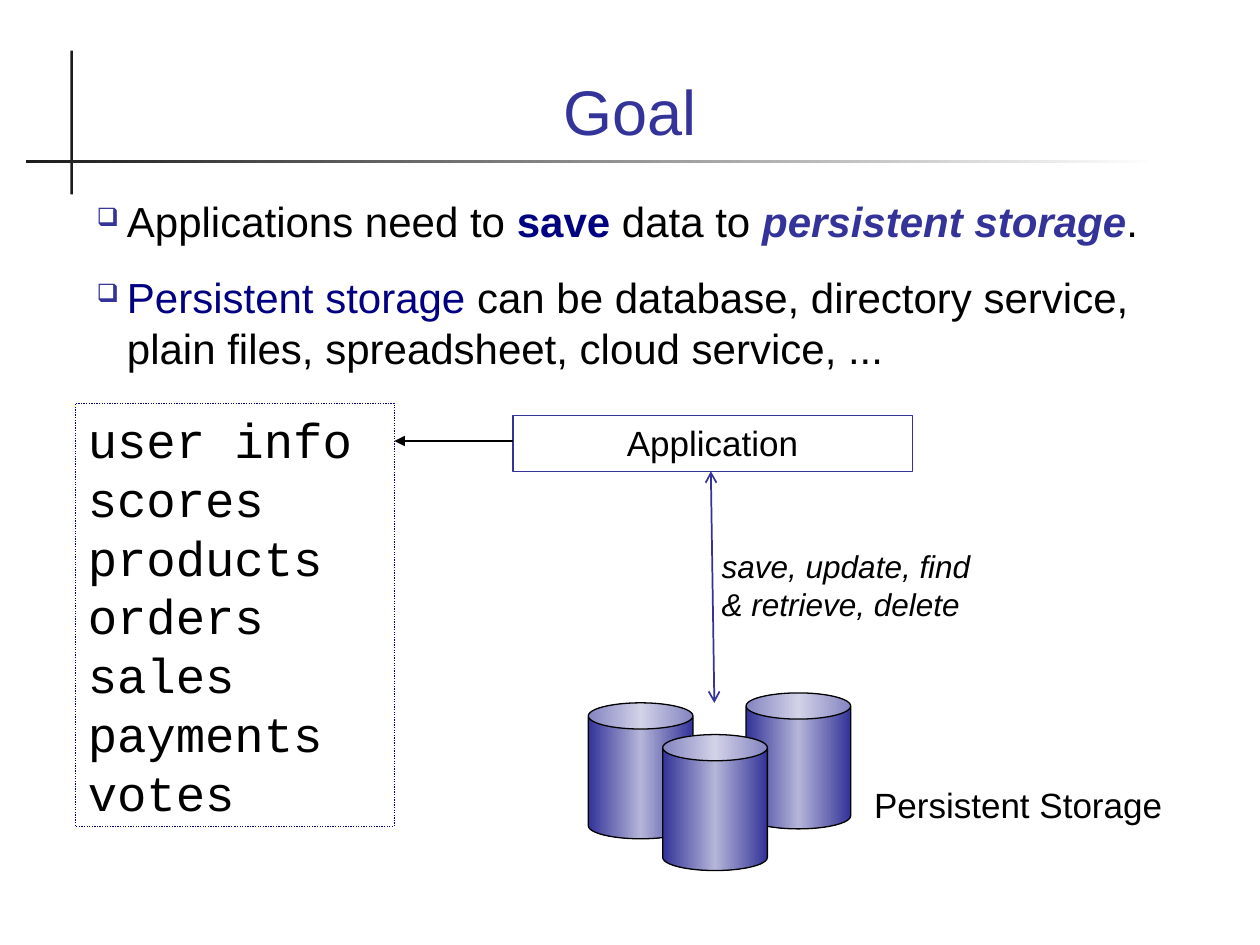
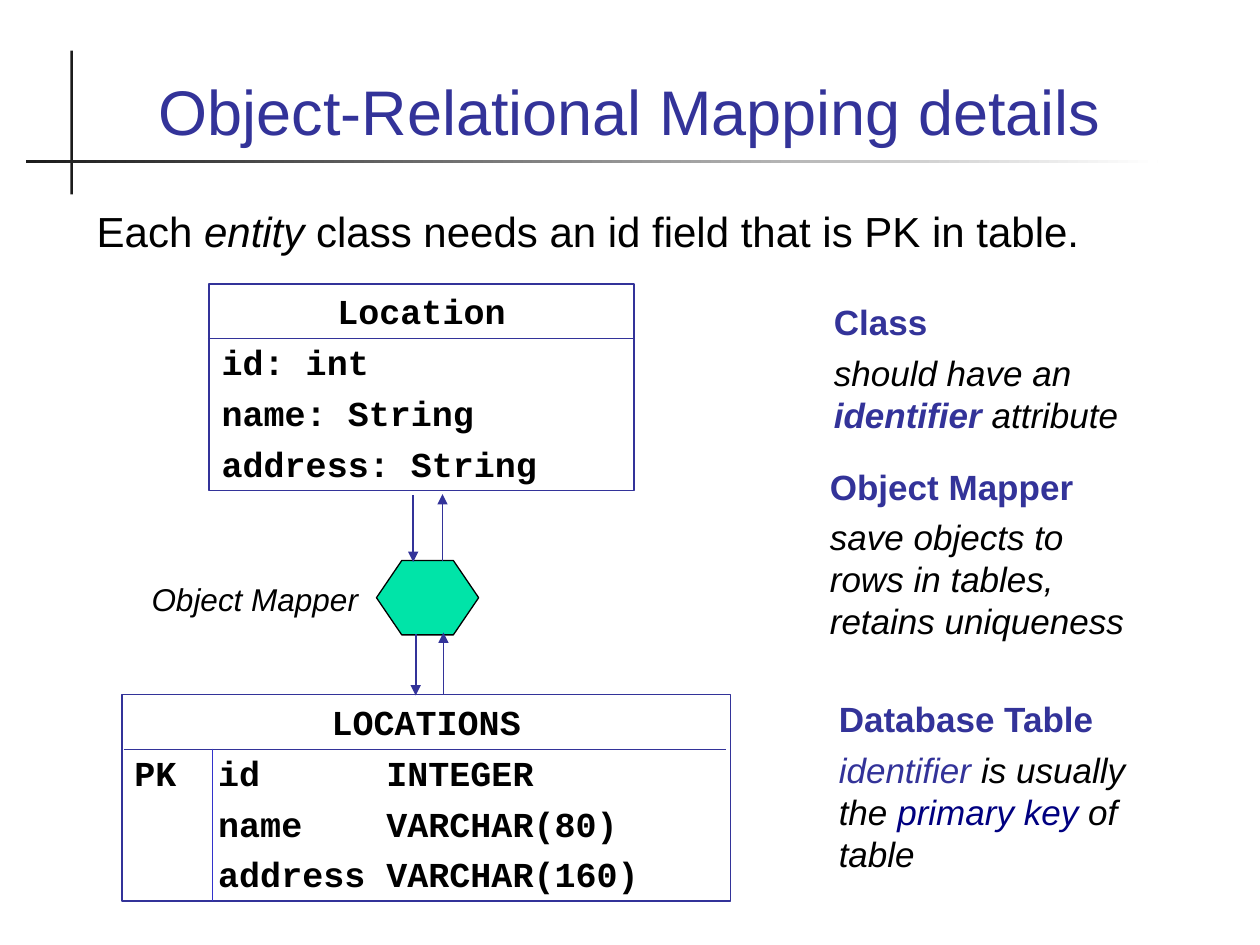
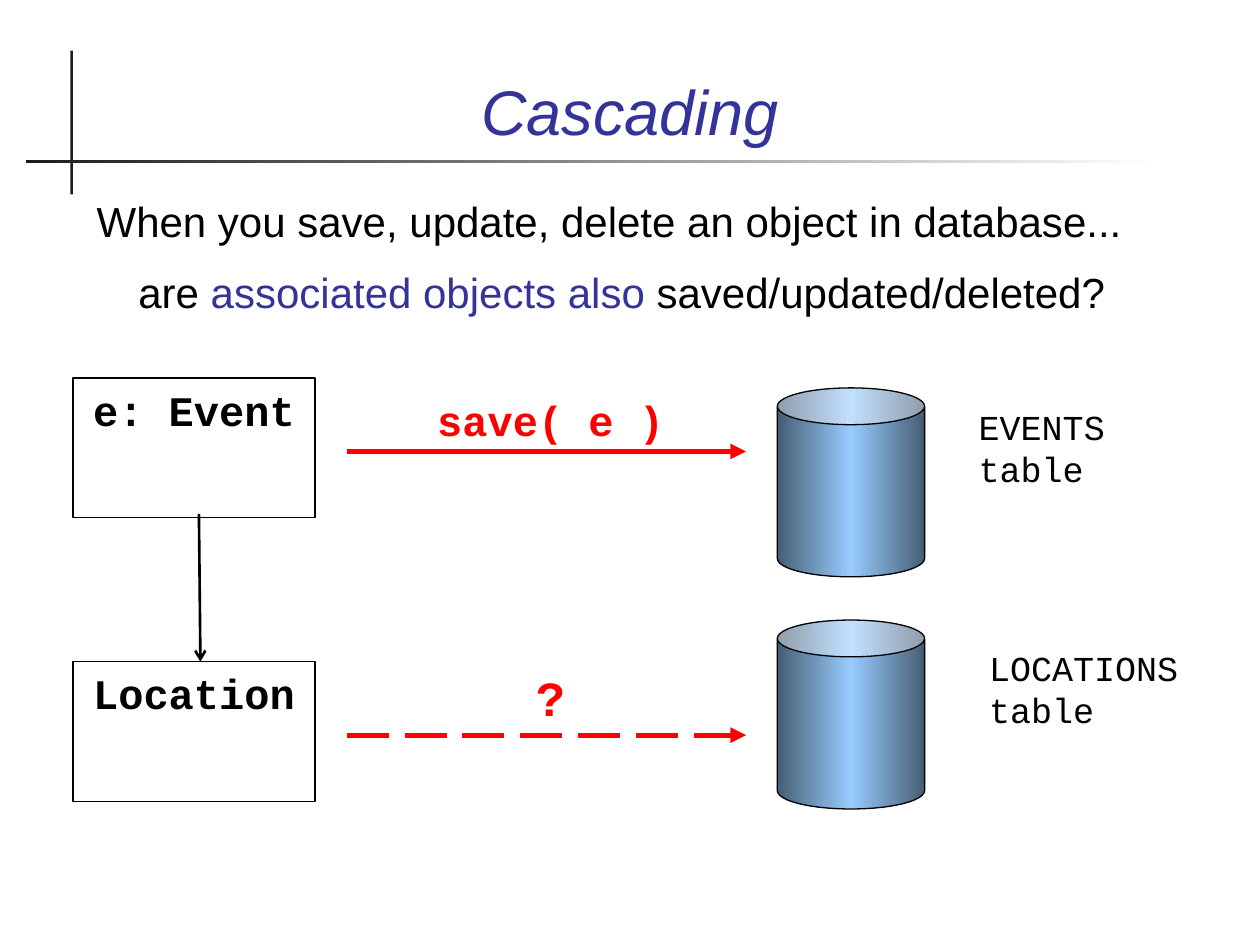
from copy import deepcopy

from lxml.etree import SubElement
from pptx import Presentation
from pptx.dml.color import RGBColor
from pptx.enum.dml import MSO_LINE
from pptx.enum.shapes import MSO_CONNECTOR, MSO_SHAPE
from pptx.enum.text import MSO_ANCHOR, PP_ALIGN
from pptx.oxml.ns import qn
from pptx.util import Cm, Pt

BLUE, NAVY, BLACK, RED = "333399", "000080", "000000", "FF0000"
INK, WHITE = "1C1C1C", "FFFFFF"
MONO = "Courier New"
rgb = RGBColor.from_string


def write(slide, box, paragraphs, size, color=BLACK, font="Arial", style="", align=PP_ALIGN.LEFT,
          gap=0, bullet="", tabs=(), border=None, border_width=0.75):
    """Add a text box, or a bordered rectangle; box is left, top, width, height in cm.

    A paragraph is a string or a list of (text, color, style) runs; style holds b and i.
    """
    place = [Cm(length) for length in box]
    if border:
        shape = slide.shapes.add_shape(MSO_SHAPE.RECTANGLE, *place)
        shape.shadow.inherit = False
        shape.fill.background()
        shape.line.color.rgb = rgb(border)
        shape.line.width = Pt(border_width)
    else:
        shape = slide.shapes.add_textbox(*place)
    frame = shape.text_frame
    frame.word_wrap = True
    frame.vertical_anchor = MSO_ANCHOR.TOP
    for number, content in enumerate(paragraphs):
        paragraph = frame.add_paragraph() if number else frame.paragraphs[0]
        paragraph.alignment = align
        if number:
            paragraph.space_before = Pt(gap)
        properties = paragraph._p.get_or_add_pPr()
        if bullet:
            properties.set("marL", str(Cm(0.61)))
            properties.set("indent", str(-Cm(0.61)))
            bullet_color = SubElement(properties, qn("a:buClr"))
            SubElement(bullet_color, qn("a:srgbClr"), val=BLUE)
            SubElement(properties, qn("a:buSzPct"), val="60000")
            SubElement(properties, qn("a:buChar"), char=bullet)
        if tabs:
            tab_list = SubElement(properties, qn("a:tabLst"))
            for stop in tabs:
                SubElement(tab_list, qn("a:tab"), pos=str(Cm(stop)), algn="l")
        paragraph.font.name = font
        paragraph.font.size = Pt(size)
        if isinstance(content, str):
            paragraph.add_run().text = content
            paragraph.font.color.rgb = rgb(color)
            paragraph.font.bold = "b" in style
            paragraph.font.italic = "i" in style
            continue
        for text, run_color, run_style in content:
            run = paragraph.add_run()
            run.text = text
            run.font.color.rgb = rgb(run_color)
            run.font.bold = "b" in run_style
            run.font.italic = "i" in run_style
    return shape


def draw_line(slide, start, end, color=BLUE, width=0.75, head=None, tail=None, dash=None):
    """Draw a line between two points in cm; head and tail are the arrows at start and end."""
    points = [Cm(length) for length in (*start, *end)]
    line = slide.shapes.add_connector(MSO_CONNECTOR.STRAIGHT, *points)
    line.line.color.rgb = rgb(color)
    line.line.width = Pt(width)
    if dash:
        line.line.dash_style = dash
    outline = line.line._get_or_add_ln()
    for tag, arrow in (("a:headEnd", head), ("a:tailEnd", tail)):
        if arrow:
            SubElement(outline, qn(tag), type=arrow)
    SubElement(line._element.spPr, qn("a:effectLst"))


presentation = Presentation()
presentation.slide_width, presentation.slide_height = Cm(25.4), Cm(19.05)

# Title and crossed rules of every slide
slides = []
for title, title_style in (("Goal", ""), ("Object-Relational Mapping details", ""), ("Cascading", "i")):
    slide = presentation.slides.add_slide(presentation.slide_layouts[6])
    slides.append(slide)
    upright = slide.shapes.add_shape(MSO_SHAPE.RECTANGLE, Cm(1.42), Cm(1.02), Cm(0.05), Cm(2.9))
    upright.fill.solid()
    upright.fill.fore_color.rgb = rgb(INK)
    fading_rule = slide.shapes.add_shape(MSO_SHAPE.RECTANGLE, Cm(0.53), Cm(3.23), Cm(22.81), Cm(0.05))
    fading_rule.fill.gradient()
    fading_rule.fill.gradient_angle = 0
    for stop, shade in zip(fading_rule.fill.gradient_stops, (INK, WHITE)):
        stop.color.rgb = rgb(shade)
    for rule in (upright, fading_rule):
        rule.shadow.inherit = False
        rule.line.fill.background()
    heading = write(slide, (1.7, 0.71, 22, 2.41), [title], 36, BLUE, style=title_style, align=PP_ALIGN.CENTER)
    heading.text_frame.vertical_anchor = MSO_ANCHOR.BOTTOM
goal, mapping, cascading = slides

# Storage cylinders
small, large = (2.11, 2.74), (2.97, 3.81)
violet, steel = (BLUE, "B5B5D9", BLUE), ("465E75", "99CCFF", "465E75")
for slide, left, top, size, shades in (
    (goal, 11.86, 14.17, small, violet),
    (goal, 15.04, 13.97, small, violet),
    (goal, 13.36, 14.81, small, violet),
    (cascading, 15.67, 7.82, large, steel),
    (cascading, 15.67, 12.5, large, steel),
):
    cylinder = slide.shapes.add_shape(MSO_SHAPE.CAN, Cm(left), Cm(top), Cm(size[0]), Cm(size[1]))
    cylinder.shadow.inherit = False
    cylinder.line.color.rgb = rgb(BLACK)
    cylinder.line.width = Pt(0.75)
    cylinder.fill.gradient()
    cylinder.fill.gradient_angle = 0
    stop_list = cylinder._element.spPr.find(qn("a:gradFill")).find(qn("a:gsLst"))
    stop_list.append(deepcopy(stop_list[0]))
    for stop, position, shade in zip(cylinder.fill.gradient_stops, (0, 0.5, 1), shades):
        stop.position = position
        stop.color.rgb = rgb(shade)

# Goal
write(goal, (1.7, 3.81, 22, 4.06), [
    [("Applications need to ", BLACK, ""), ("save", NAVY, "b"), (" data to ", BLACK, ""),
     ("persistent storage", BLUE, "bi"), (".", BLACK, "")],
    [("Persistent storage", NAVY, ""),
     (" can be database, directory service, plain files, spreadsheet, cloud service, ...", BLACK, "")],
], 24, gap=15, bullet="❑")
write(goal, (10.34, 8.38, 8.05, 1.12), ["Application"], 20, align=PP_ALIGN.CENTER, border=BLUE)
draw_line(goal, (14.33, 9.5), (14.4, 14.17), width=1, head="arrow", tail="arrow")
write(goal, (14.3, 10.9, 5.61, 1.78), ["save, update, find & retrieve, delete"], 18, style="i")
write(goal, (17.37, 15.67, 7.19, 1.12), ["Persistent Storage"], 20)
saved_data = write(goal, (1.52, 8.13, 6.43, 8.53),
                   ["user info", "scores", "products", "orders", "sales", "payments", "votes"],
                   28, font=MONO, border=NAVY)
saved_data.line.dash_style = MSO_LINE.ROUND_DOT
draw_line(goal, (7.95, 8.89), (10.34, 8.89), BLACK, head="triangle")

# Object-relational mapping
write(mapping, (1.7, 4.01, 22, 1.73), [
    [("Each ", BLACK, ""), ("entity", BLACK, "i"), (" class needs an id field that is PK in table.", BLACK, "")],
], 24)
for box, rows, tabs in (
    ((2.46, 14, 12.27, 4.17),
     ["LOCATIONS", "PK\tid\tINTEGER", "\tname\tVARCHAR(80)", "\taddress\tVARCHAR(160)"], (1.69, 5.08)),
    ((4.22, 5.72, 8.56, 4.17), ["Location", "id: int", "name: String", "address: String"], ()),
):
    entity = write(mapping, box, rows, 20, font=MONO, style="b", gap=5, tabs=tabs, border=BLUE, border_width=1)
    entity.text_frame.paragraphs[0].alignment = PP_ALIGN.CENTER
draw_line(mapping, (4.19, 6.83), (12.8, 6.83))
draw_line(mapping, (2.49, 15.11), (14.63, 15.11))
draw_line(mapping, (4.28, 15.09), (4.28, 18.16), "3333CC")

mapper = mapping.shapes.add_shape(MSO_SHAPE.HEXAGON, Cm(7.59), Cm(11.3), Cm(2.06), Cm(1.5))
mapper.adjustments[0] = 0.34
mapper.shadow.inherit = False
mapper.fill.solid()
mapper.fill.fore_color.rgb = rgb("00E4A8")
mapper.line.color.rgb = rgb(BLACK)
mapper.line.width = Pt(0.75)
write(mapping, (1.65, 11.56, 5.82, 1.02), ["Object Mapper"], 18, style="i", align=PP_ALIGN.RIGHT)
for x, start, end in ((8.33, 9.98, 11.33), (8.38, 12.78, 14.02), (8.92, 11.3, 9.96), (8.94, 14, 12.75)):
    draw_line(mapping, (x, start), (x, end), width=1, tail="triangle")

for left, top, height, term, explanation in (
    (16.56, 5.94, 2.97, "Class",
     [("should have an ", BLACK, "i"), ("identifier", BLUE, "bi"), (" attribute", BLACK, "i")]),
    (16.48, 9.25, 3.84, "Object Mapper",
     [("save objects to rows in tables, retains uniqueness", BLACK, "i")]),
    (16.66, 13.94, 3.84, "Database Table",
     [("identifier", BLUE, "i"), (" is usually the ", BLACK, "i"), ("primary key", NAVY, "i"),
      (" of table", BLACK, "i")]),
):
    write(mapping, (left, top, 6.81, height), [[(term, BLUE, "b")], explanation], 20, gap=5)

# Cascading
question = write(cascading, (1.7, 3.81, 22, 3.81), [
    "When you save, update, delete an object in database...",
    [("are ", BLACK, ""), ("associated objects also", BLUE, ""), (" saved/updated/deleted?", BLACK, "")],
], 24, gap=12)
question.text_frame.paragraphs[1]._p.pPr.set("marL", str(Cm(0.84)))

for instance, top in (("e: Event", 7.62), ("Location", 13.34)):
    write(cascading, (1.47, top, 4.88, 2.82), [instance], 24, font=MONO, style="b",
          align=PP_ALIGN.CENTER, border=BLACK)
draw_line(cascading, (4.01, 10.36), (4.04, 13.34), BLACK, 1.5, tail="arrow")
for table_label, left, top in (("EVENTS table", 19.48, 8.05), ("LOCATIONS table", 19.69, 12.9)):
    write(cascading, (left, top, 4.88, 1.96), [table_label], 20, font=MONO)
for action, size, top, height, arrow_y, dash in (
    ("save( e )", 24, 7.82, 1.27, 9.1, None),
    ("?", 28, 13.34, 1.45, 14.82, MSO_LINE.LONG_DASH),
):
    draw_line(cascading, (6.99, arrow_y), (15.04, arrow_y), RED, 3, tail="triangle", dash=dash)
    write(cascading, (8.46, top, 5.28, height), [action], size, RED, MONO, "b", PP_ALIGN.CENTER)

presentation.save("out.pptx")
